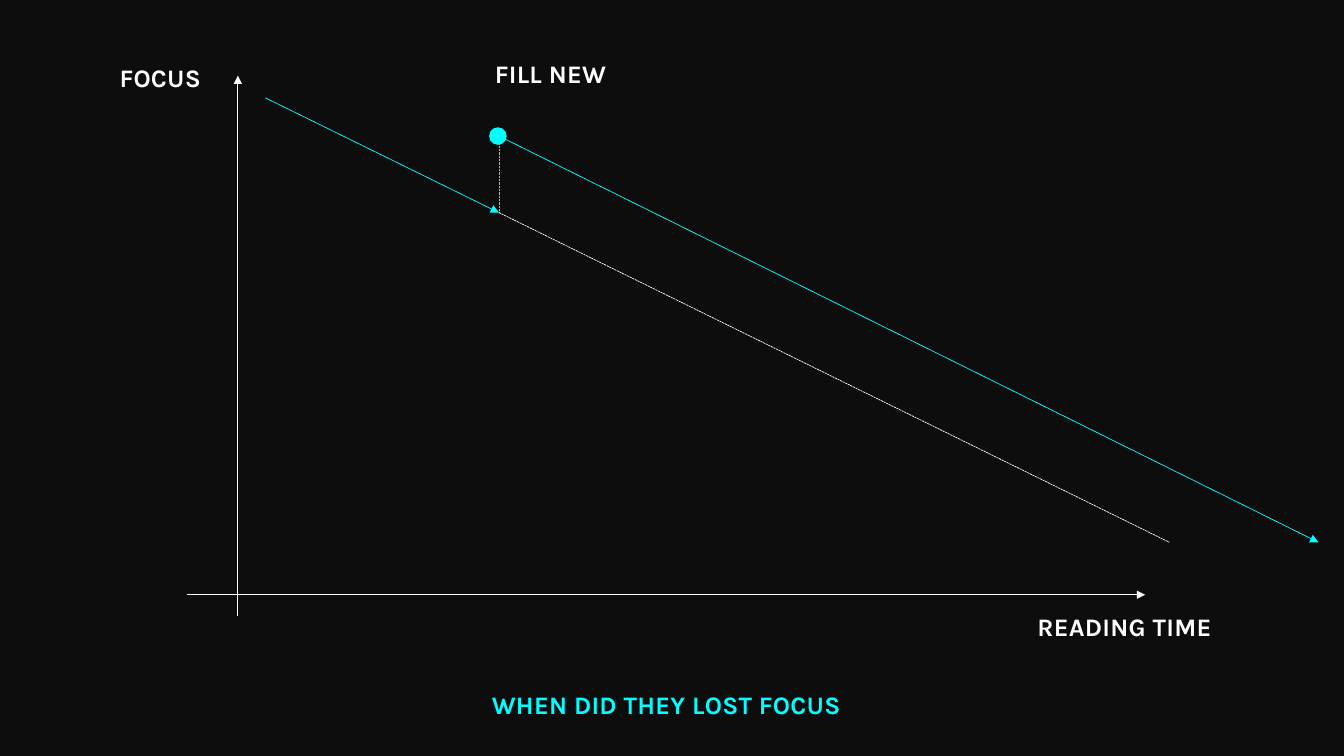
from lxml.etree import SubElement
from pptx import Presentation
from pptx.dml.color import RGBColor
from pptx.enum.dml import MSO_LINE
from pptx.enum.shapes import MSO_CONNECTOR, MSO_SHAPE
from pptx.enum.text import MSO_AUTO_SIZE, PP_ALIGN
from pptx.oxml.ns import qn
from pptx.util import Inches, Pt

WIDTH, HEIGHT = Inches(13.33), Inches(7.5)
COLORS = {"background": "0D0D0D", "axis": "FFFFFF", "accent": "00FFFF"}

# Positions are percentages of the slide's width and height.
ORIGIN = (17.7, 78.67)
DROP = (37.13, 28.13)
REFILL = (37.13, 18)
END_ROW = 71.73
LABEL_HEIGHT = 5.33


def across(share):
    return round(WIDTH * share / 100)


def down(share):
    return round(HEIGHT * share / 100)


def color(name):
    return RGBColor.from_string(COLORS[name])


def add_line(page, start, end, tint="axis", weight=0.5, arrow=False, dashed=False):
    line = page.shapes.add_connector(
        MSO_CONNECTOR.STRAIGHT,
        across(start[0]), down(start[1]), across(end[0]), down(end[1]))
    line.line.color.rgb = color(tint)
    line.line.width = Pt(weight)
    if dashed:
        line.line.dash_style = MSO_LINE.SQUARE_DOT
    if arrow:
        SubElement(line.line._get_or_add_ln(), qn("a:tailEnd"), type="triangle")
    SubElement(line._element.spPr, qn("a:effectLst"))


def add_dot(page, center, diameter):
    size = across(diameter)
    dot = page.shapes.add_shape(
        MSO_SHAPE.OVAL, across(center[0]) - size // 2,
        down(center[1]) - size // 2, size, size)
    dot.shadow.inherit = False
    dot.fill.solid()
    dot.fill.fore_color.rgb = color("accent")
    dot.line.color.rgb = color("accent")
    dot.line.width = Pt(1)


def add_label(page, text, left, top, width, tint="axis", align=PP_ALIGN.CENTER):
    box = page.shapes.add_textbox(
        across(left), down(top), across(width), down(LABEL_HEIGHT))
    frame = box.text_frame
    frame.word_wrap = True
    frame.auto_size = MSO_AUTO_SIZE.SHAPE_TO_FIT_TEXT
    para = frame.paragraphs[0]
    para.alignment = align
    span = para.add_run()
    span.text = text
    span.font.name = "Karla"
    span.font.size = Pt(18)
    span.font.bold = True
    span.font.color.rgb = color(tint)
    span.font._element.set("spc", "20")


def add_axes(page):
    column, row = ORIGIN
    add_line(page, (column, 81.47), (column, 10), arrow=True)
    add_line(page, (13.88, row), (85.2, row), arrow=True)


def add_focus_lines(page):
    add_line(page, (19.73, 12.93), DROP, tint="accent", arrow=True)
    add_line(page, DROP, REFILL, tint="accent", weight=0.25, dashed=True)
    add_line(page, REFILL, (98.1, END_ROW), tint="accent", arrow=True)
    add_line(page, DROP, (87, END_ROW), dashed=True)
    add_dot(page, (37.05, REFILL[1]), 1.2)


def main():
    deck = Presentation()
    deck.slide_width, deck.slide_height = WIDTH, HEIGHT
    page = deck.slides.add_slide(deck.slide_layouts[6])
    page.background.fill.solid()
    page.background.fill.fore_color.rgb = color("background")

    add_label(page, "WHEN DID THEY LOST FOCUS", 32.33, 90.53, 34.5, tint="accent")
    add_axes(page)
    add_label(page, "READING TIME", 74.7, 80.27, 17.93)
    add_label(page, "FOCUS", 7.05, 7.6, 9.75)
    add_focus_lines(page)
    add_label(page, "FILL NEW", 36.08, 7.07, 33.53, align=PP_ALIGN.LEFT)
    deck.save("out.pptx")


if __name__ == "__main__":
    main()
